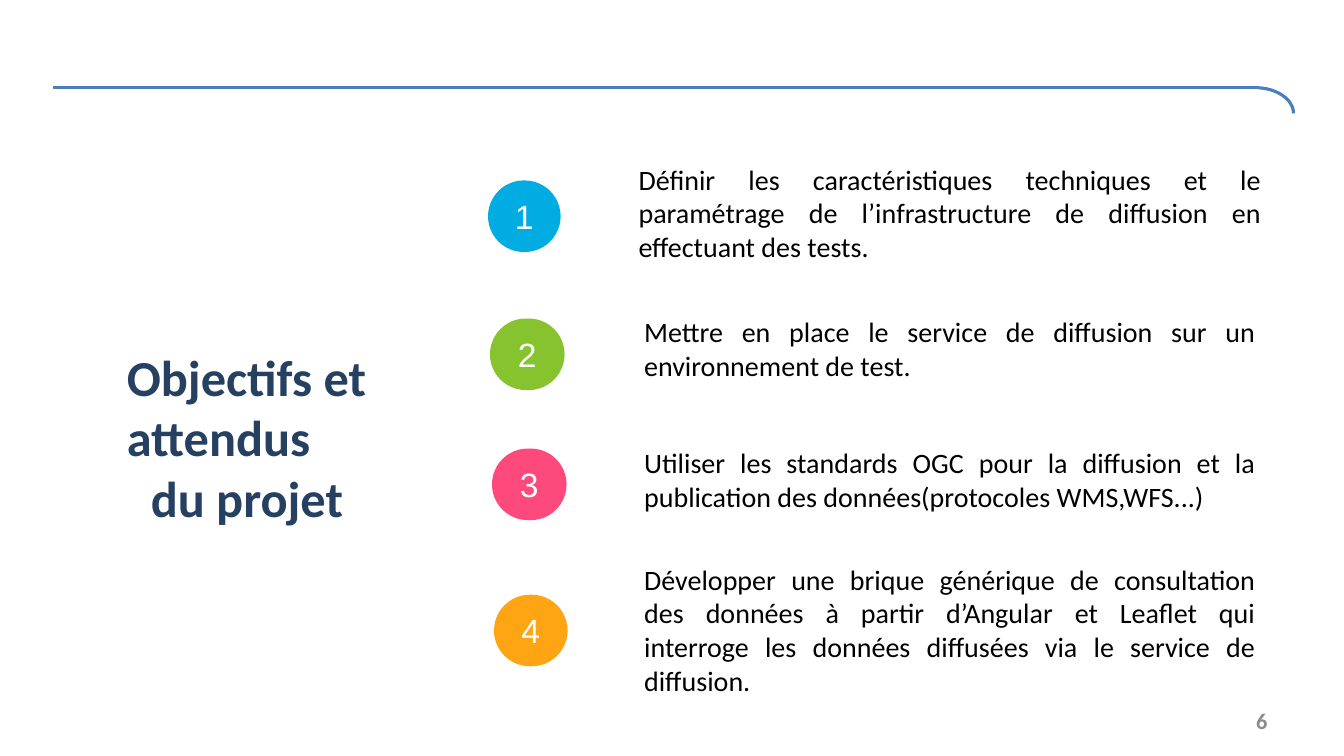
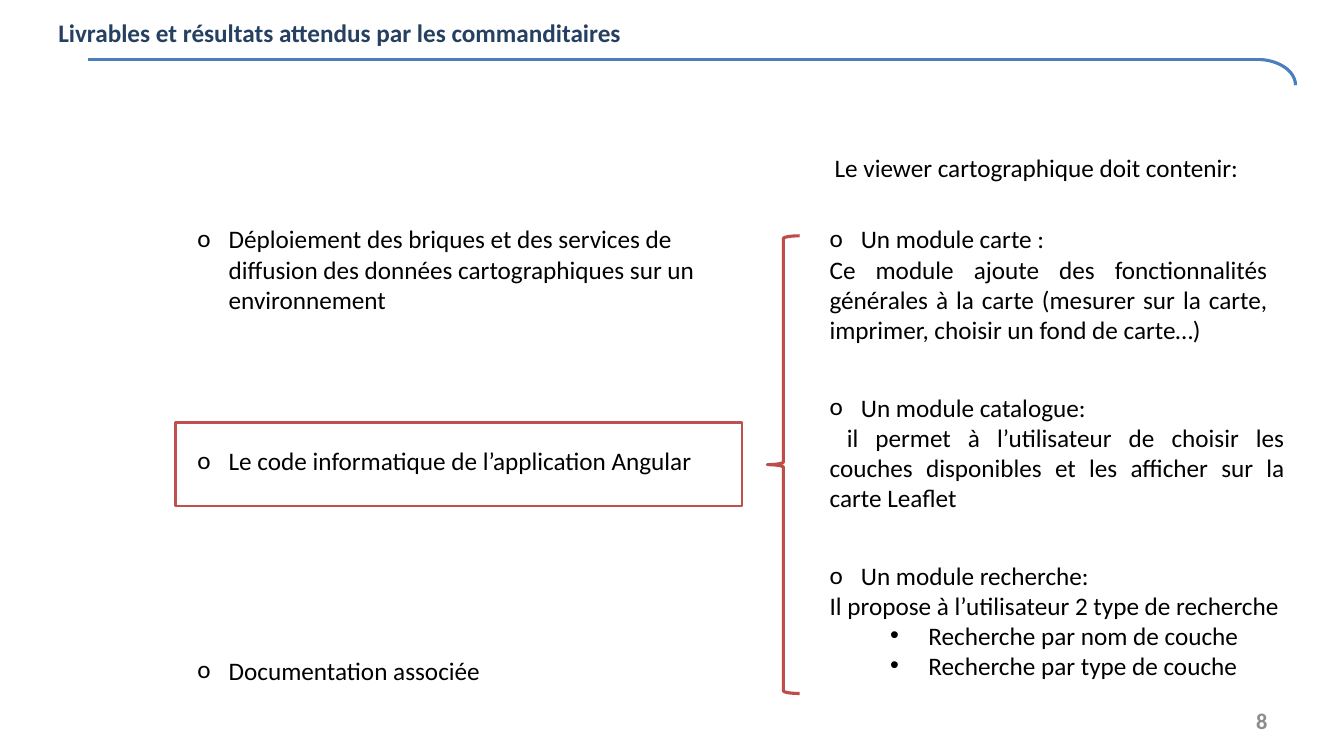
from dataclasses import dataclass

from lxml.etree import SubElement
from pptx import Presentation
from pptx.dml.color import RGBColor
from pptx.enum.shapes import MSO_CONNECTOR, MSO_SHAPE
from pptx.enum.text import MSO_ANCHOR, MSO_AUTO_SIZE, PP_ALIGN
from pptx.oxml.ns import qn
from pptx.util import Inches, Pt

SLIDE_WIDTH, SLIDE_HEIGHT = 13.33, 7.5

BLACK = RGBColor(0x00, 0x00, 0x00)
WHITE = RGBColor(0xFF, 0xFF, 0xFF)
GREY = RGBColor(0x8C, 0x8C, 0x8C)
NAVY = RGBColor(0x25, 0x40, 0x61)
RULE_BLUE = RGBColor(0x4B, 0x7E, 0xBC)
FRAME_RED = RGBColor(0xC0, 0x50, 0x4D)
BRACE_RED = RGBColor(0xBF, 0x4C, 0x48)
CYAN = RGBColor(0x00, 0xAC, 0xE2)
GREEN = RGBColor(0x87, 0xC3, 0x2F)
PINK = RGBColor(0xFD, 0x49, 0x7C)
ORANGE = RGBColor(0xFF, 0xA5, 0x13)

BODY_FONT, BADGE_FONT = "Calibri", "Arial"

# Objectives: badge column and the axis on which the texts are centred
BADGE_LEFT, BADGE_SHIFT, BADGE_HEIGHT = 4.84, 0.02, 0.71
OBJECTIVE_AXIS = 9.42

# Deliverables: two columns of text and the rows they share
DELIVERABLE_LEFT, DELIVERABLE_WIDTH = 1.86, 5.49
MODULE_LEFT = 8.13
FIRST_ROW, MODULE_STEP = 2.17, 1.67
LINE_HEIGHT = 0.4

# Number, badge colour, badge top, badge width, text top, text width, text
OBJECTIVES = [
    ("1", CYAN, 1.79, 0.72, 1.56, 6.37,
     "Définir les caractéristiques techniques et le paramétrage de "
     "l’infrastructure de diffusion en effectuant des tests."),
    ("2", GREEN, 3.16, 0.74, 3.07, 6.26,
     "Mettre en place le service de diffusion sur un environnement de test."),
    ("3", PINK, 4.45, 0.74, 4.37, 6.26,
     "Utiliser les standards OGC pour la diffusion et la publication des "
     "données(protocoles WMS,WFS...)"),
    ("4", ORANGE, 5.9, 0.73, 5.53, 6.26,
     "Développer une brique générique de consultation des données à partir "
     "d’Angular et Leaflet qui interroge les données diffusées via le "
     "service de diffusion."),
]


@dataclass
class Line:
    """One paragraph: its text, alignment, indents in inches and bullet."""
    text: str
    align: PP_ALIGN = PP_ALIGN.LEFT
    margin: float = 0
    indent: float = 0
    bullet: str = ""


def circle_item(text):
    return Line(text, margin=0.31, indent=-0.31, bullet="o")


def dot_item(text):
    return Line(text, margin=0.38, indent=-0.38, bullet="•")


def justified(text, indent=0):
    return Line(text, PP_ALIGN.JUSTIFY, indent=indent)


DELIVERABLES = [
    (FIRST_ROW, 1.01, "Déploiement des briques et des services de diffusion "
                      "des données cartographiques sur un environnement"),
    (4.37, LINE_HEIGHT, "Le code informatique de l’application Angular"),
    (6.45, LINE_HEIGHT, "Documentation associée"),
]

# Width, height, title, description
MODULES = [
    (4.54, 1.31, "Un module carte :",
     justified("Ce module ajoute des fonctionnalités générales à la carte "
               "(mesurer sur la carte, imprimer, choisir un fond de carte…)")),
    (4.71, 1.31, "Un module catalogue:",
     justified("il permet à l’utilisateur de choisir les couches disponibles "
               "et les afficher sur la carte Leaflet", indent=0.17)),
    (4.91, 0.71, "Un module recherche:",
     Line("Il propose à l’utilisateur 2 type de recherche")),
]


def format_paragraph(paragraph, line):
    paragraph.alignment = line.align
    properties = paragraph._p.get_or_add_pPr()
    properties.set("marL", str(Inches(line.margin)))
    properties.set("indent", str(Inches(line.indent)))
    if line.bullet:
        font = BADGE_FONT if line.bullet == "•" else BODY_FONT
        SubElement(properties, qn("a:buFont")).set("typeface", font)
        SubElement(properties, qn("a:buChar")).set("char", line.bullet)


def write_lines(frame, lines, size, color=BLACK, bold=False, font=BODY_FONT):
    for index, line in enumerate(lines):
        paragraph = frame.add_paragraph() if index else frame.paragraphs[0]
        format_paragraph(paragraph, line)
        run = paragraph.add_run()
        run.text = line.text
        run.font.name = font
        run.font.size = Pt(size)
        run.font.bold = bold
        run.font.color.rgb = color


def add_text(slide, box, lines, size=18, color=BLACK, bold=False, wrap=True):
    shape = slide.shapes.add_textbox(*map(Inches, box))
    frame = shape.text_frame
    frame.word_wrap = wrap
    frame.auto_size = MSO_AUTO_SIZE.SHAPE_TO_FIT_TEXT
    write_lines(frame, lines, size, color, bold)
    return shape


def add_outline(slide, kind, box, color, weight=2.25):
    """Add an unfilled preset shape."""
    shape = slide.shapes.add_shape(kind, *map(Inches, box))
    shape.shadow.inherit = False
    shape.fill.background()
    shape.line.color.rgb = color
    shape.line.width = Pt(weight)
    return shape


def add_badge(slide, box, number, color):
    shape = slide.shapes.add_shape(MSO_SHAPE.ROUNDED_RECTANGLE,
                                   *map(Inches, box))
    shape.adjustments[0] = 0.5
    shape.shadow.inherit = False
    shape.fill.solid()
    shape.fill.fore_color.rgb = color
    shape.line.fill.background()
    shape.text_frame.vertical_anchor = MSO_ANCHOR.MIDDLE
    write_lines(shape.text_frame, [Line(number, PP_ALIGN.CENTER)], 24, WHITE,
                font=BADGE_FONT)


def add_header_rule(slide, left, top, right):
    """Draw the straight rule that ends in a rounded corner at right."""
    arc_width = 0.76
    rule = slide.shapes.add_connector(
        MSO_CONNECTOR.STRAIGHT, Inches(left), Inches(top),
        Inches(right - 0.34), Inches(top))
    rule.line.color.rgb = RULE_BLUE
    rule.line.width = Pt(2.25)
    SubElement(rule._element.spPr, qn("a:effectLst"))
    arc = add_outline(slide, MSO_SHAPE.ARC,
                      (right - arc_width, top, arc_width, 0.51), RULE_BLUE)
    arc.adjustments[0] = 165.97
    arc.adjustments[1] = 0


def add_base_slide(presentation, number, rule):
    """Add a blank slide with its header rule and page number."""
    slide = presentation.slides.add_slide(presentation.slide_layouts[6])
    add_header_rule(slide, *rule)
    page = add_text(slide, (9.56, 6.95, 3.11, LINE_HEIGHT),
                    [Line(number, PP_ALIGN.RIGHT)], 16, GREY, bold=True)
    page.text_frame.auto_size = MSO_AUTO_SIZE.NONE
    page.text_frame.vertical_anchor = MSO_ANCHOR.MIDDLE
    return slide


def build_objectives(presentation):
    slide = add_base_slide(presentation, "6", (0.53, 0.87, 12.83))
    add_text(slide, (1.1, 3.38, 2.7, 1.92),
             [Line("Objectifs et attendus", margin=0.06),
              Line("du projet", PP_ALIGN.CENTER)], 36, NAVY, bold=True)
    for index, objective in enumerate(OBJECTIVES):
        number, color, badge_top, badge_width, top, width, text = objective
        badge_left = BADGE_LEFT + index * BADGE_SHIFT
        add_badge(slide, (badge_left, badge_top, badge_width, BADGE_HEIGHT),
                  number, color)
        add_text(slide, (OBJECTIVE_AXIS - width / 2, top, width, 0.77),
                 [justified(text)], 20)


def build_deliverables(presentation):
    slide = add_base_slide(presentation, "8", (0.87, 0.59, 12.85))
    add_text(slide, (0.48, 0.12, 8.76, LINE_HEIGHT),
             [Line("Livrables et résultats attendus par les commanditaires")],
             color=NAVY, bold=True)

    for top, height, text in DELIVERABLES:
        add_text(slide, (DELIVERABLE_LEFT, top, DELIVERABLE_WIDTH, height),
                 [circle_item(text)])
    add_outline(slide, MSO_SHAPE.RECTANGLE, (1.74, 4.19, 5.62, 0.83),
                FRAME_RED, 2)
    add_outline(slide, MSO_SHAPE.LEFT_BRACE, (7.61, 2.34, 0.32, 4.54),
                BRACE_RED)

    add_text(slide, (8.18, 1.46, 4.54, LINE_HEIGHT),
             [Line("Le viewer cartographique doit contenir:")])
    for index, (width, height, title, description) in enumerate(MODULES):
        top = FIRST_ROW + index * MODULE_STEP
        add_text(slide, (MODULE_LEFT, top, width, height),
                 [circle_item(title), description])
    add_text(slide, (8.73, 6.1, 3.69, 0.71),
             [dot_item("Recherche par nom de couche"),
              dot_item("Recherche par type de couche")], wrap=False)


def main():
    presentation = Presentation()
    presentation.slide_width = Inches(SLIDE_WIDTH)
    presentation.slide_height = Inches(SLIDE_HEIGHT)
    build_objectives(presentation)
    build_deliverables(presentation)
    presentation.save("out.pptx")


if __name__ == "__main__":
    main()
